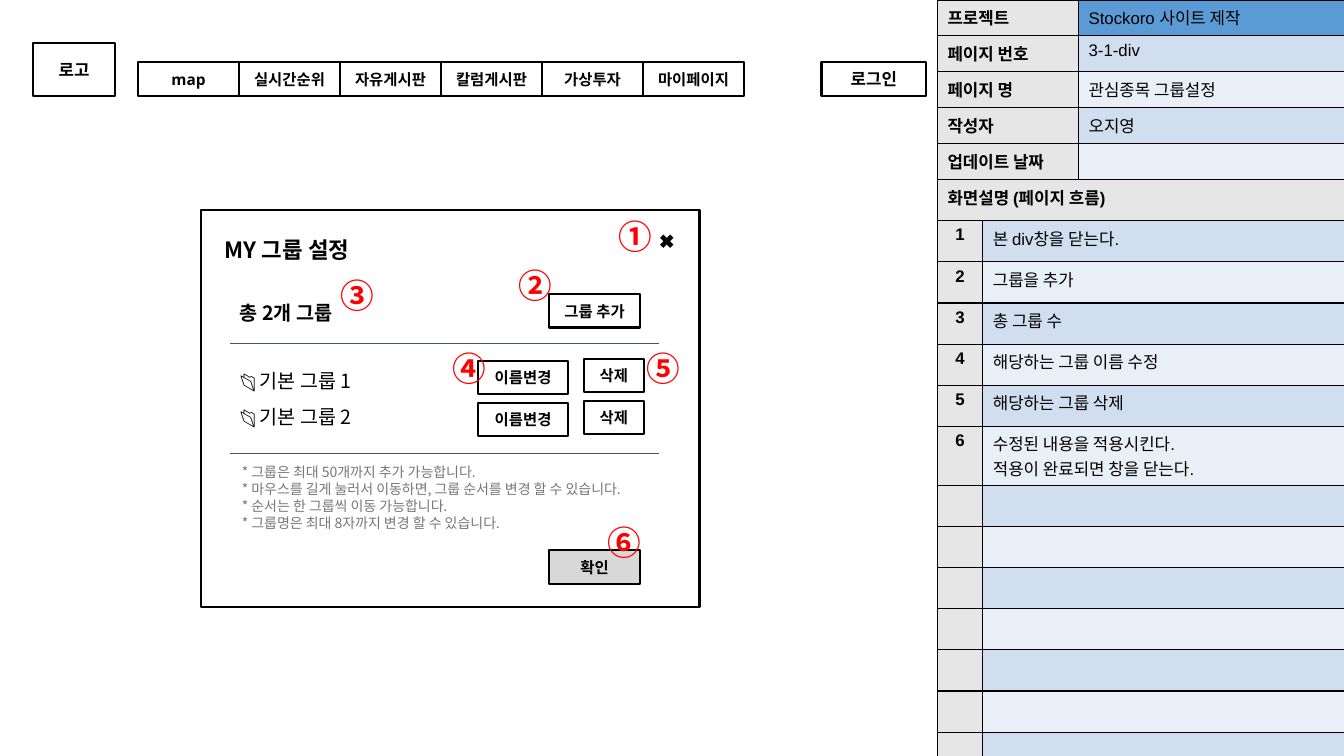
from pptx import Presentation
from pptx.dml.color import RGBColor
from pptx.enum.shapes import MSO_CONNECTOR, MSO_SHAPE
from pptx.enum.text import MSO_ANCHOR, MSO_AUTO_SIZE, PP_ALIGN
from pptx.oxml.ns import qn
from pptx.util import Pt
from lxml.etree import SubElement

BLACK, GREY, DARK, PALE = "000000", "E7E6E6", "D0DEEF", "E9EFF7"
BLUE, WHITE = "5B9BD5", "FFFFFF"
KOREAN, LATIN, TABLE = "Noto Sans CJK KR", "Open Sans", "Arial"

PROJECT = [
    ("프로젝트", "Stockoro 사이트 제작"),
    ("페이지 번호", "3-1-div"),
    ("페이지 명", "관심종목 그룹설정"),
    ("작성자", "오지영"),
    ("업데이트 날짜", ""),
]
STEPS = [
    "본 div창을 닫는다.",
    "그룹을 추가",
    "총 그룹 수",
    "해당하는 그룹 이름 수정",
    "해당하는 그룹 삭제",
    "수정된 내용을 적용시킨다.\n적용이 완료되면 창을 닫는다.",
]
EMPTY_STEPS = 7
MENU = ["map", "실시간순위", "자유게시판", "칼럼게시판", "가상투자", "마이페이지"]
NOTES = [
    "* 그룹은 최대 50개까지 추가 가능합니다.",
    "* 마우스를 길게 눌러서 이동하면, 그룹 순서를 변경 할 수 있습니다.",
    "* 순서는 한 그룹씩 이동 가능합니다.",
    "* 그룹명은 최대 8자까지 변경 할 수 있습니다.",
]
MARKERS = [
    ("①", 434.9, 150.5),
    ("②", 363.6, 185.8),
    ("③", 236.2, 193),
    ("④", 316.1, 244.8),
    ("⑤", 455, 244.8),
    ("⑥", 427, 369.4),
]


def color(value):
    return RGBColor.from_string(value)


def points(*lengths):
    return [Pt(length) for length in lengths]


class Wireframe:
    def __init__(self, deck):
        self.page = deck.slides.add_slide(deck.slide_layouts[5])
        self.shapes = self.page.shapes

    def fill_text(self, frame, text, size, font, bold=False, ink=BLACK,
                  align=PP_ALIGN.LEFT, spacing=None):
        """Fill a text frame, one paragraph for each line of text."""
        for index, line in enumerate(text.split("\n")):
            para = frame.paragraphs[0] if index == 0 else frame.add_paragraph()
            para.alignment = align
            if spacing:
                para.line_spacing = Pt(spacing)
            if not line:
                SubElement(para._p, qn("a:endParaRPr"), sz=str(size * 100))
                continue
            span = para.add_run()
            span.text = line
            span.font.color.rgb = color(ink)
            for name, value in dict(size=Pt(size), name=font, bold=bold).items():
                setattr(span.font, name, value)
            SubElement(span._r.get_or_add_rPr(), qn("a:ea"), typeface=KOREAN)

    def set_frame(self, frame, anchor, margin):
        values = dict(
            word_wrap=True, auto_size=MSO_AUTO_SIZE.NONE, vertical_anchor=anchor,
            margin_left=Pt(7.2), margin_right=Pt(7.2),
            margin_top=Pt(margin), margin_bottom=Pt(margin),
        )
        for name, value in values.items():
            setattr(frame, name, value)

    def title(self, text, left, top, width, height):
        box = self.shapes.title
        self.shapes._spTree.append(box._element)  # in front of the panel
        box.left, box.top, box.width, box.height = points(left, top, width, height)
        self.set_frame(box.text_frame, MSO_ANCHOR.TOP, 7.2)
        self.fill_text(box.text_frame, text, 16, KOREAN, bold=True)

    def label(self, text, left, top, width, height, size=14, margin=7.2, **style):
        box = self.shapes.add_textbox(*points(left, top, width, height))
        self.set_frame(box.text_frame, MSO_ANCHOR.TOP, margin)
        self.fill_text(box.text_frame, text, size, KOREAN, **style)

    def box(self, left, top, width, height, text="", size=11, fill=None):
        box = self.shapes.add_shape(
            MSO_SHAPE.RECTANGLE, *points(left, top, width, height))
        box.shadow.inherit = False
        if fill:
            box.fill.solid()
            box.fill.fore_color.rgb = color(fill)
        else:
            box.fill.background()
        box.line.color.rgb = color(BLACK)
        box.line.width = Pt(1.5)
        if text:
            self.set_frame(box.text_frame, MSO_ANCHOR.MIDDLE, 7.2)
            self.fill_text(box.text_frame, text, size, LATIN, bold=True,
                           align=PP_ALIGN.CENTER)

    def rule(self, left, right, top):
        line = self.shapes.add_connector(
            MSO_CONNECTOR.STRAIGHT, *points(left, top, right, top))
        line.line.color.rgb = color("44546A")
        line.line.width = Pt(0.75)
        SubElement(line._element.spPr, qn("a:effectLst"))

    def table(self, left, top, widths, heights):
        table = self.shapes.add_table(
            len(heights), len(widths),
            *points(left, top, sum(widths), sum(heights))).table
        table.first_row = table.horz_banding = False
        for column, width in zip(table.columns, widths):
            column.width = Pt(width)
        for row, height in zip(table.rows, heights):
            row.height = Pt(height)
        return table

    def cell(self, cell, text, fill, **style):
        properties = cell._tc.get_or_add_tcPr()
        for side in "LRTB":
            border = SubElement(properties, qn(f"a:ln{side}"), w=str(Pt(1)))
            paint = SubElement(border, qn("a:solidFill"))
            SubElement(paint, qn("a:srgbClr"), val=BLACK)
        cell.fill.solid()
        cell.fill.fore_color.rgb = color(fill)
        self.fill_text(cell.text_frame, text, 12, TABLE, **style)


def draw_tables(frame):
    project = frame.table(669.6, 0, [100.8, 190.1], [25.65] * len(PROJECT))
    for row, (name, value) in enumerate(PROJECT):
        fill = BLUE if row == 0 else (PALE, DARK)[row % 2]
        frame.cell(project.cell(row, 0), name, GREY, bold=True)
        frame.cell(project.cell(row, 1), value, fill)

    steps = STEPS + [""] * EMPTY_STEPS
    heights = [29.4] + [42 if "\n" in step else 29.4 for step in steps]
    flow = frame.table(669.6, 128.2, [32.4, 258.5], heights)
    flow.cell(0, 0).merge(flow.cell(0, 1))
    frame.cell(flow.cell(0, 0), "화면설명 (페이지 흐름)", GREY, bold=True)
    frame.cell(flow.cell(0, 1), "", GREY)
    for row, step in enumerate(steps, start=1):
        number = str(row) if step else ""
        frame.cell(flow.cell(row, 0), number, GREY, bold=True,
                   align=PP_ALIGN.CENTER)
        frame.cell(flow.cell(row, 1), step, (PALE, DARK)[row % 2])


def draw_header(frame):
    frame.box(23.8, 31, 58.3, 37.4, "로고", 12)
    frame.box(586.8, 44.6, 74.9, 23.8, "로그인", 12)
    for index, name in enumerate(MENU):
        frame.box(98.6 + 72.15 * index, 44.6, 72.15, 23.8, name)


def draw_dialog(frame):
    frame.box(143.3, 149.8, 356.4, 283.7, fill=WHITE)
    frame.title("MY 그룹 설정", 153.4, 161.3, 121, 43.2)
    frame.label("✖", 463.7, 156.2, 35.3, 31)
    frame.label("총 2개 그룹", 164.2, 208.1, 114.5, 23.8, bold=True)
    frame.box(392.4, 210.2, 64.8, 23.8, "그룹 추가")
    for index, offset in enumerate((0, 30)):
        frame.label(f"📂 기본 그룹 {index + 1}", 164.2, 256.3 + 26 * index, 114.5, 24)
        frame.box(341.3, 257.8 + offset, 64.8, 23.8, "이름변경")
        frame.box(416.9, 256.5 + offset, 43.2, 23.8, "삭제")
    for top in (245.5, 324):
        frame.rule(164.2, 470.9, top)
    frame.label("\n".join(NOTES), 165.6, 324, 324.7, 77, size=10, ink="777777",
                spacing=12.1)
    frame.box(392.4, 393.1, 64.8, 23.8, "확인", fill="D8D8D8")
    for number, left, top in MARKERS:
        frame.label(number, left, top, 40, 36, size=24, margin=3.6, bold=True,
                    ink="FF0000")


def main():
    deck = Presentation()
    deck.slide_width, deck.slide_height = points(960, 540)
    frame = Wireframe(deck)
    draw_tables(frame)
    draw_header(frame)
    draw_dialog(frame)
    deck.save("out.pptx")


if __name__ == "__main__":
    main()
